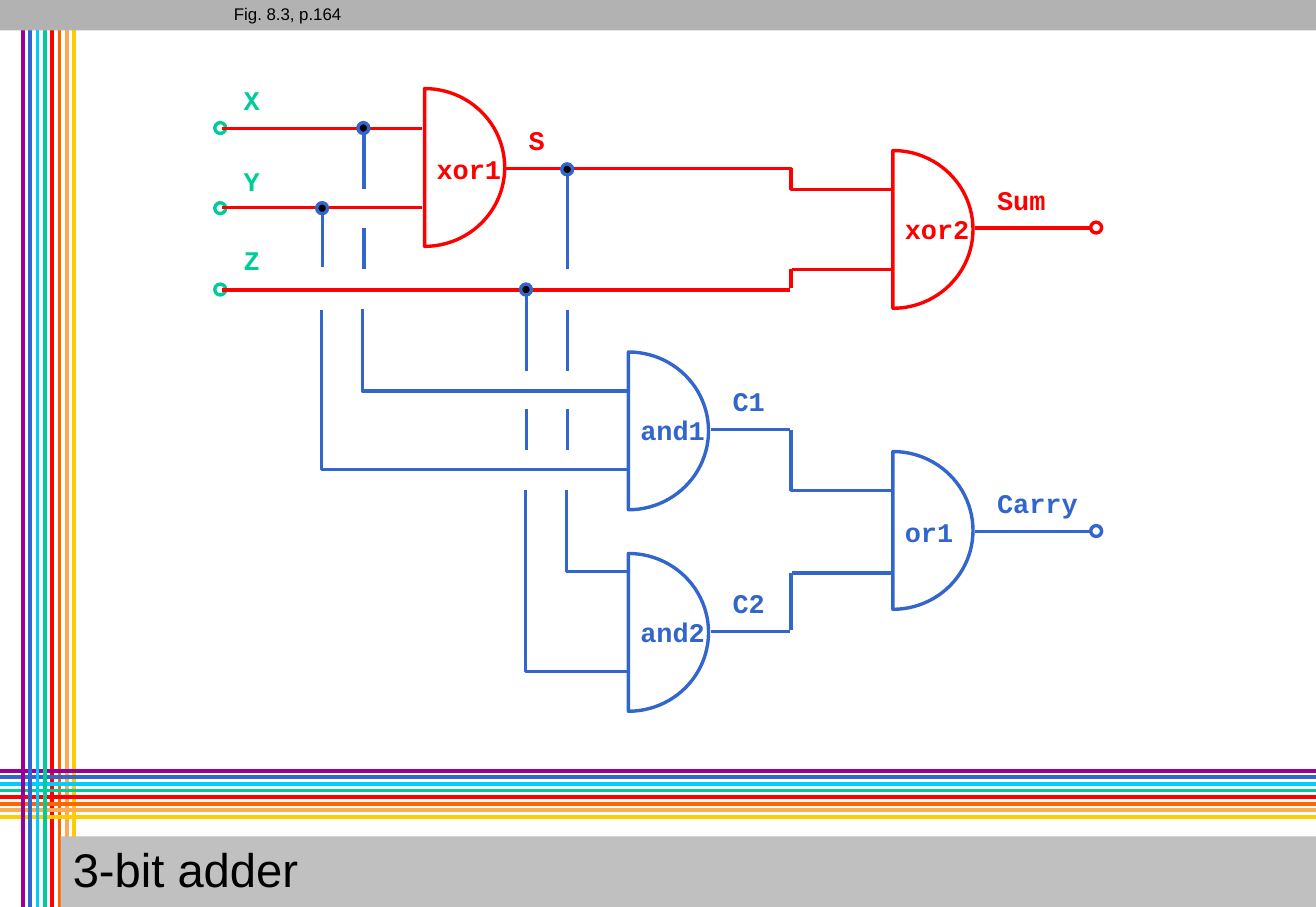
from dataclasses import dataclass

from lxml import etree
from pptx import Presentation
from pptx.dml.color import RGBColor
from pptx.enum.shapes import MSO_CONNECTOR, MSO_SHAPE
from pptx.enum.text import MSO_ANCHOR, MSO_AUTO_SIZE, PP_ALIGN
from pptx.oxml.ns import qn
from pptx.util import Inches, Pt

STRAIGHT = MSO_CONNECTOR.STRAIGHT
CHORD, OVAL, RECT = MSO_SHAPE.CHORD, MSO_SHAPE.OVAL, MSO_SHAPE.RECTANGLE
LEFT, MIDDLE, TOP = PP_ALIGN.LEFT, MSO_ANCHOR.MIDDLE, MSO_ANCHOR.TOP
NO_FIT = MSO_AUTO_SIZE.NONE

WIDE, HIGH = 781 / 72, 538 / 72
DOT = 0.09


@dataclass(frozen=True)
class Theme:
    """Colours, fonts and sizes of the slide."""
    red: str = "FF0000"
    blue: str = "3366CC"
    green: str = "00CC99"
    black: str = "000000"
    white: str = "FFFFFF"
    band: str = "B2B2B2"
    bar: str = "C0C0C0"
    cool: tuple = ("990099", "3366CC", "00CCFF", "00CC99")
    warm: tuple = ("FF0000", "FF6600", "FFA953", "FFCC00")
    sans: str = "Arial"
    mono: str = "Courier New"
    title: int = 28
    label: int = 16
    note: int = 10
    wire: float = 2
    stripe: float = 2.25


THEME = Theme()

LABELS = [
    ("X", 1.91, 0.67, THEME.green), ("Y", 1.91, 1.34, THEME.green),
    ("Z", 1.91, 1.99, THEME.green), ("S", 4.26, 1.0, THEME.red),
    ("Sum", 8.12, 1.49, THEME.red), ("C1", 5.94, 3.15, THEME.blue),
    ("C2", 5.94, 4.81, THEME.blue), ("Carry", 8.12, 3.99, THEME.blue),
    ("xor1", 3.5, 1.24, THEME.red), ("xor2", 7.36, 1.73, THEME.red),
    ("and1", 5.18, 3.39, THEME.blue), ("and2", 5.18, 5.05, THEME.blue),
    ("or1", 7.36, 4.23, THEME.blue),
]

GATES = [
    (3.5, 0.73, THEME.red), (7.36, 1.24, THEME.red),
    (7.36, 3.72, THEME.blue), (5.18, 2.9, THEME.blue),
    (5.18, 4.56, THEME.blue),
]

RED_WIRES = [
    [(1.83, 1.06), (3.48, 1.06)],
    [(1.83, 1.71), (3.48, 1.71)],
    [(1.83, 2.39), (6.51, 2.39)],
    [(4.16, 1.39), (6.52, 1.39), (6.52, 1.56), (7.36, 1.56)],
    [(6.52, 2.22), (6.52, 2.37)],
    [(6.53, 2.22), (7.35, 2.22)],
    [(8.04, 1.88), (9.03, 1.88)],
]

BLUE_WIRES = [
    [(8.04, 4.38), (9.03, 4.38)],
    [(6.52, 3.54), (6.52, 4.04), (7.36, 4.04)],
    [(6.52, 4.72), (6.52, 5.19)],
    [(6.53, 4.72), (7.35, 4.72)],
    [(5.86, 3.54), (6.51, 3.54)],
    [(5.86, 5.2), (6.51, 5.2)],
    [(2.66, 1.72), (2.66, 2.2)],
    [(2.65, 2.55), (2.65, 3.87), (5.17, 3.87)],
    [(5.17, 3.22), (2.99, 3.22), (2.99, 2.55)],
    [(3, 2.22), (3, 1.88)],
    [(3, 1.56), (3, 1.05)],
    [(5.17, 4.71), (4.67, 4.71), (4.67, 4.04)],
    [(4.68, 3.71), (4.68, 3.37)],
    [(4.68, 3.06), (4.68, 2.55)],
    [(4.68, 2.22), (4.68, 1.39)],
    [(5.17, 5.53), (4.33, 5.53), (4.33, 4.04)],
    [(4.34, 3.71), (4.34, 3.37)],
    [(4.34, 3.06), (4.34, 2.38)],
]

PORTS = [(1.77, 1.01), (1.77, 1.67), (1.77, 2.34)]
NODES = [(2.95, 1.01), (2.61, 1.67), (4.63, 1.35), (4.29, 2.34)]


def paint(color):
    """Turn a hex string into a colour."""
    return RGBColor.from_string(color)


def put_text(frame, text, *, size, color=THEME.black, font=THEME.sans,
             bold=False, anchor=TOP):
    """Write one formatted line into a text frame."""
    frame.text = text
    frame.word_wrap = False
    frame.auto_size = NO_FIT
    frame.vertical_anchor = anchor
    line = frame.paragraphs[0]
    line.alignment = LEFT
    line.line_spacing = 0.9
    style = line.runs[0].font
    style.name, style.size, style.bold = font, Pt(size), bold
    style.color.rgb = paint(color)


def add_note(slide, text, left, top, width, height, **style):
    """Place a text box."""
    box = slide.shapes.add_textbox(
        Inches(left), Inches(top), Inches(width), Inches(height))
    put_text(box.text_frame, text, **style)


def add_label(slide, text, left, top, color):
    """Place a bold label as wide as its letters."""
    add_note(slide, text, left, top, 0.2 + len(text) * 0.13, 0.34,
             size=THEME.label, color=color, font=THEME.mono, bold=True)


def add_form(slide, kind, left, top, width, height, fill=None, line=None):
    """Place a preset shape with plain fill and line."""
    form = slide.shapes.add_shape(
        kind, Inches(left), Inches(top), Inches(width), Inches(height))
    form.shadow.inherit = False
    if fill:
        form.fill.solid()
        form.fill.fore_color.rgb = paint(fill)
    else:
        form.fill.background()
    if line:
        form.line.color.rgb = paint(line)
        form.line.width = Pt(THEME.wire)
    else:
        form.line.fill.background()
    return form


def add_line(slide, start, end, color, width):
    """Draw a straight line between two points."""
    ends = [Inches(value) for value in (*start, *end)]
    line = slide.shapes.add_connector(STRAIGHT, *ends)
    line.line.color.rgb = paint(color)
    line.line.width = Pt(width)
    etree.SubElement(line._element.spPr, qn("a:effectLst"))


def add_wire(slide, points, color):
    """Draw a straight or bent wire."""
    if len(points) == 2:
        add_line(slide, *points, color, THEME.wire)
        return
    first, *rest = [(Inches(x), Inches(y)) for x, y in points]
    pen = slide.shapes.build_freeform(*first)
    pen.add_line_segments(rest, close=False)
    wire = pen.convert_to_shape()
    wire.shadow.inherit = False
    wire.fill.background()
    wire.line.color.rgb = paint(color)
    wire.line.width = Pt(THEME.wire)


def add_gate(slide, left, top, color):
    """Draw a half-round gate from its flat side."""
    width, height = 1.32, 1.3
    gate = add_form(slide, CHORD, left - width / 2, top, width, height,
                    line=color)
    gate.adjustments[0], gate.adjustments[1] = 162, 54


def add_dot(slide, spot, fill, line):
    """Draw a small ring or node."""
    add_form(slide, OVAL, *spot, DOT, DOT, fill, line)


def add_posts(slide, colors, left):
    """Draw upright stripes from a left edge."""
    for index, color in enumerate(colors):
        x = left + index * 0.06
        add_line(slide, (x, 0), (x, HIGH), color, THEME.stripe)


def add_frame(slide):
    """Draw the woven stripes and the top band."""
    add_posts(slide, THEME.warm, 0.43)
    rails = THEME.cool + THEME.warm
    step = (6.73 - 6.35) / (len(rails) - 1)
    for index, color in enumerate(rails):
        y = 6.35 + index * step
        add_line(slide, (WIDE, y), (0, y), color, THEME.stripe)
    add_posts(slide, THEME.cool, 0.19)
    add_form(slide, RECT, 0, 0, WIDE, 0.25, THEME.band)


def set_title(slide, text):
    """Fill the title bar and bring it forward."""
    title = slide.shapes.title
    title.left, title.top = Inches(0.5), Inches(6.89)
    title.width, title.height = Inches(WIDE - 0.5), Inches(HIGH - 6.89)
    title.fill.solid()
    title.fill.fore_color.rgb = paint(THEME.bar)
    put_text(title.text_frame, text, size=THEME.title, anchor=MIDDLE)
    slide.shapes._spTree.append(title._element)


def add_circuit(slide):
    """Draw the ports, gates, wires, nodes and labels."""
    for spot in PORTS:
        add_dot(slide, spot, THEME.white, THEME.green)
    for gate in GATES:
        add_gate(slide, *gate)
    for wires, color, out in ((RED_WIRES, THEME.red, (8.99, 1.83)),
                              (BLUE_WIRES, THEME.blue, (8.99, 4.33))):
        for points in wires:
            add_wire(slide, points, color)
        add_dot(slide, out, THEME.white, color)
    for spot in NODES:
        add_dot(slide, spot, THEME.black, THEME.blue)
    for label in LABELS:
        add_label(slide, *label)


def main():
    """Build and save the slide."""
    deck = Presentation()
    deck.slide_width, deck.slide_height = Inches(WIDE), Inches(HIGH)
    slide = deck.slides.add_slide(deck.slide_layouts[5])
    add_frame(slide)
    set_title(slide, "3-bit adder")
    add_circuit(slide)
    add_note(slide, "Fig. 8.3, p.164", 1.83, 0, 1.08, 0.25, size=THEME.note)
    deck.save("out.pptx")


if __name__ == "__main__":
    main()
